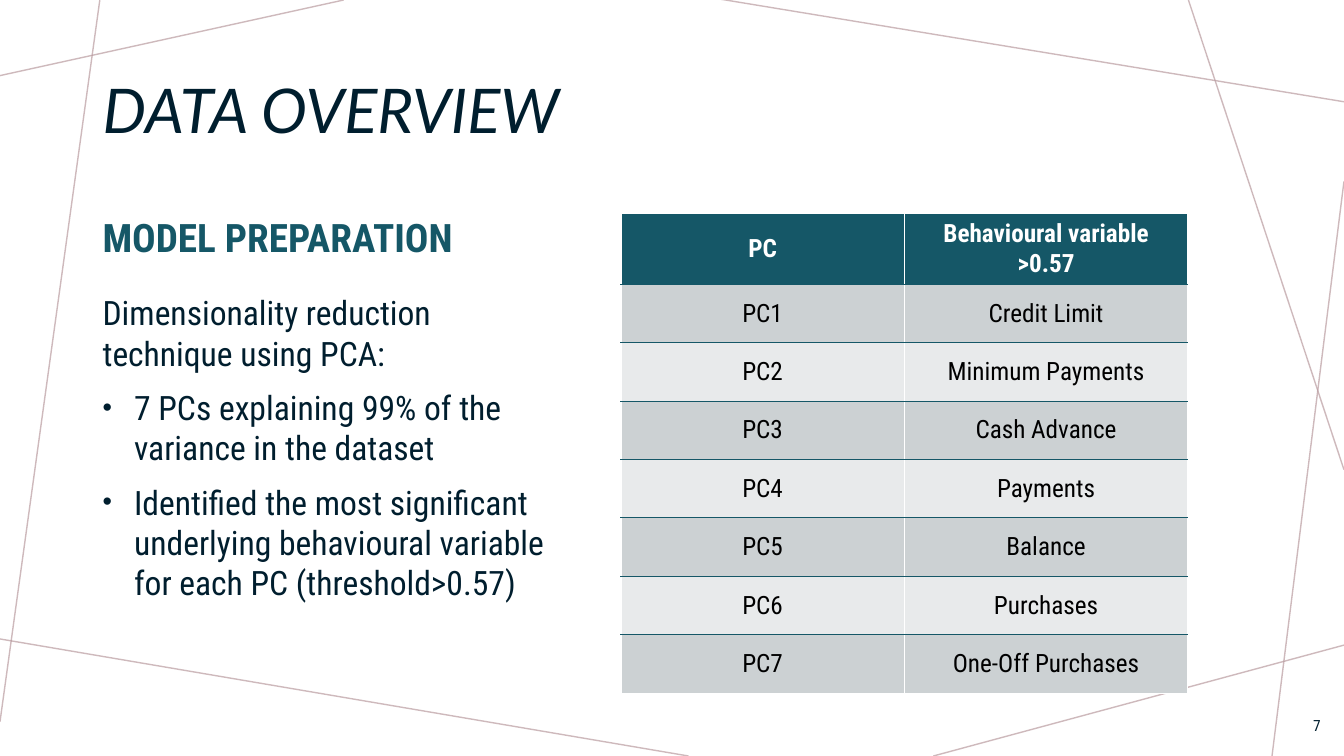
from typing import NamedTuple

from lxml import etree
from pptx import Presentation
from pptx import util as u
from pptx.dml import color
from pptx.enum import shapes, text
from pptx.oxml import ns

BODY_FONT = "Roboto Condensed"
NAVY, TEAL, WHITE, BLACK, ROSE = "001E2E", "155767", "FFFFFF", "000000", "BA9CA0"
BANDS = ("CCD1D3", "E8EAEB")


class Line(NamedTuple):
    x1: float
    y1: float
    x2: float
    y2: float


class TextStyle(NamedTuple):
    size: float
    hex_color: str = NAVY
    font: str = BODY_FONT
    bold: bool = False
    italic: bool = False
    align: text.PP_ALIGN = text.PP_ALIGN.LEFT


class TextBlock(NamedTuple):
    left: float
    top: float
    width: float
    height: float
    paragraphs: tuple[str, ...]
    style: TextStyle
    anchor: text.MSO_ANCHOR = text.MSO_ANCHOR.MIDDLE
    line_spacing: float = 1.0
    space_before: float = 0
    first_bullet: int = 99


BACKGROUND_LINES = (
    Line(245.5, 0, 0, 54),
    Line(71.3, 0, 0, 515.5),
    Line(491.8, 540, -3.6, 455.8),
    Line(960, 460.8, 666.7, 540),
    Line(960, 129.6, 908.6, 540),
    Line(960, 335.5, 848.9, 0),
    Line(960, 72.7, 514.1, -0.7),
)

TEXT_BLOCKS = (
    TextBlock(66.2, 28.8, 828, 104.4, ("DATA OVERVIEW",),
              TextStyle(44, font="Lato", italic=True), line_spacing=0.9),
    TextBlock(66.2, 136.8, 406, 64.8, ("MODEL PREPARATION",),
              TextStyle(28, TEAL, bold=True), space_before=10),
    TextBlock(66.2, 205.2, 339.8, 290.2,
              ("Dimensionality reduction technique using PCA:",
               "7 PCs explaining 99% of the variance in the dataset",
               "Identified the most significant underlying behavioural variable "
               "for each PC (threshold>0.57)"),
              TextStyle(24), text.MSO_ANCHOR.TOP, space_before=10, first_bullet=1),
    TextBlock(913.7, 504, 36.7, 28.8, ("7",),
              TextStyle(11, align=text.PP_ALIGN.RIGHT)),
)

HEADERS = ("PC", "Behavioural variable >0.57")
VARIABLES = ("Credit Limit", "Minimum Payments", "Cash Advance", "Payments",
             "Balance", "Purchases", "One-Off Purchases")


def rgb(hex_color: str) -> color.RGBColor:
    return color.RGBColor.from_string(hex_color)


def add_element(parent, tag: str, **attributes: str):
    return etree.SubElement(parent, ns.qn(tag), attributes)


def format_paragraph(paragraph, style: TextStyle) -> None:
    paragraph.alignment = style.align
    for run in paragraph.runs:
        run.font.name = style.font
        run.font.size = u.Pt(style.size)
        run.font.bold = style.bold
        run.font.italic = style.italic
        run.font.color.rgb = rgb(style.hex_color)


def add_bullet(paragraph) -> None:
    properties = paragraph._p.get_or_add_pPr()
    indent = u.Pt(22.5)
    properties.set("marL", str(indent))
    properties.set("indent", str(-indent))
    add_element(properties, "a:buSzPct", val="80000")
    add_element(properties, "a:buFont", typeface="Arial")
    add_element(properties, "a:buChar", char="•")


def add_background_line(slide, line: Line) -> None:
    connector = slide.shapes.add_connector(
        shapes.MSO_CONNECTOR.STRAIGHT, *(u.Pt(value) for value in line))
    connector.line.width = u.Pt(1)
    connector.line.color.rgb = rgb(ROSE)
    properties = connector._element.spPr
    add_element(properties.find(".//" + ns.qn("a:srgbClr")), "a:alpha", val="70000")
    add_element(properties, "a:effectLst")


def add_text_block(slide, block: TextBlock) -> None:
    shape = slide.shapes.add_textbox(*(u.Pt(value) for value in block[:4]))
    frame = shape.text_frame
    frame.word_wrap = True
    frame.vertical_anchor = block.anchor
    frame.text = "\n".join(block.paragraphs)
    for index, paragraph in enumerate(frame.paragraphs):
        paragraph.line_spacing = block.line_spacing
        paragraph.space_before = u.Pt(block.space_before)
        format_paragraph(paragraph, block.style)
        if index >= block.first_bullet:
            add_bullet(paragraph)


def add_border(cell, side: str, hex_color: str, width: float) -> None:
    border = add_element(cell._tc.get_or_add_tcPr(), f"a:ln{side}", w=str(u.Pt(width)))
    add_element(add_element(border, "a:solidFill"), "a:srgbClr", val=hex_color)


def add_component_table(slide) -> None:
    rows = [HEADERS] + [(f"PC{number}", name) for number, name in enumerate(VARIABLES, 1)]
    row_height = 41.75
    frame = slide.shapes.add_table(
        len(rows), len(HEADERS), u.Pt(443.5), u.Pt(152.6),
        u.Pt(405), u.Pt(row_height * len(rows)))
    table = frame.table
    table.horz_banding = False
    white_edge, teal_edge = (WHITE, 1), (TEAL, 0.75)
    for row_index, row in enumerate(rows):
        is_header = row_index == 0
        is_last = row_index == len(rows) - 1
        table.rows[row_index].height = u.Pt(row_height)
        style = TextStyle(18, WHITE if is_header else BLACK, bold=is_header,
                          align=text.PP_ALIGN.CENTER)
        for column_index, value in enumerate(row):
            cell = table.cell(row_index, column_index)
            cell.vertical_anchor = text.MSO_ANCHOR.MIDDLE
            cell.text_frame.text = value
            format_paragraph(cell.text_frame.paragraphs[0], style)
            add_border(cell, "L", *white_edge)
            add_border(cell, "R", *white_edge)
            add_border(cell, "T", *(white_edge if is_header else teal_edge))
            add_border(cell, "B", *(white_edge if is_last else teal_edge))
            cell.fill.solid()
            cell.fill.fore_color.rgb = rgb(TEAL if is_header else BANDS[(row_index - 1) % 2])


def main() -> None:
    presentation = Presentation()
    presentation.slide_width, presentation.slide_height = u.Pt(960), u.Pt(540)
    slide = presentation.slides.add_slide(presentation.slide_layouts[6])
    for line in BACKGROUND_LINES:
        add_background_line(slide, line)
    for block in TEXT_BLOCKS:
        add_text_block(slide, block)
    add_component_table(slide)
    presentation.save("out.pptx")


if __name__ == "__main__":
    main()
